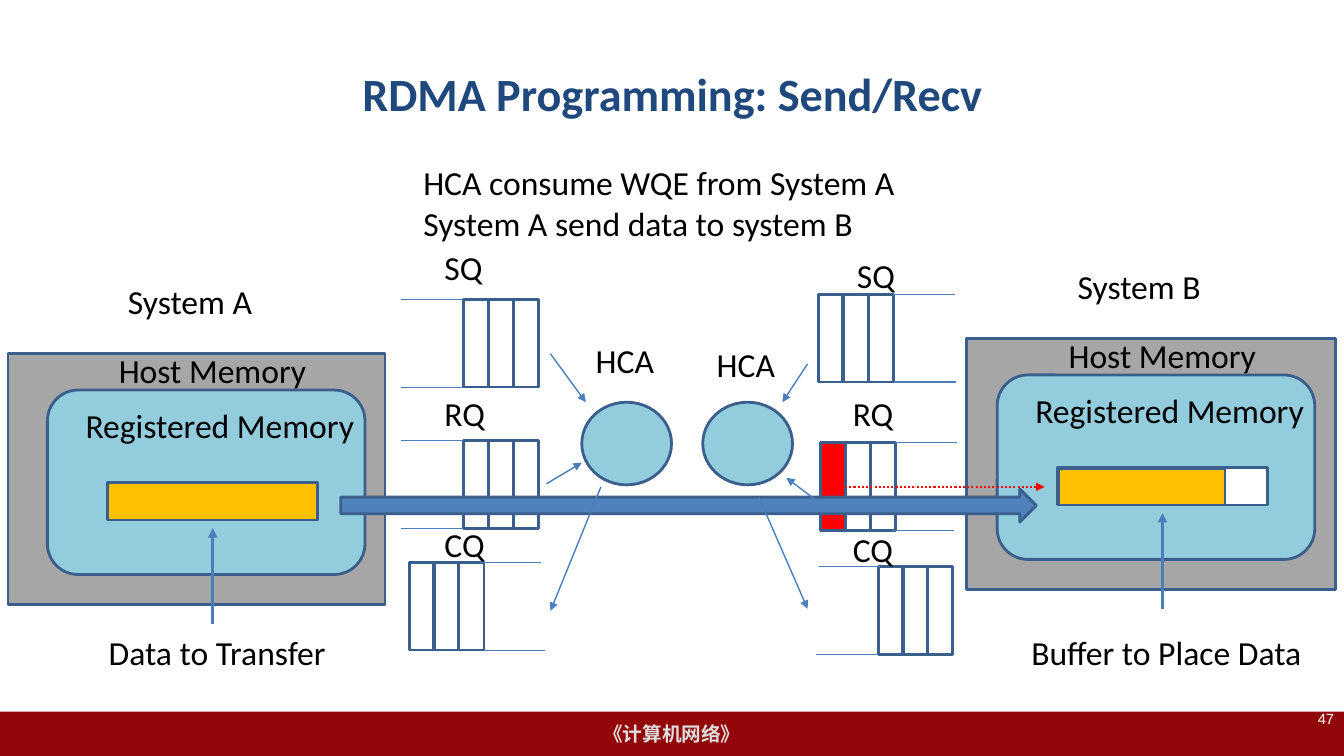
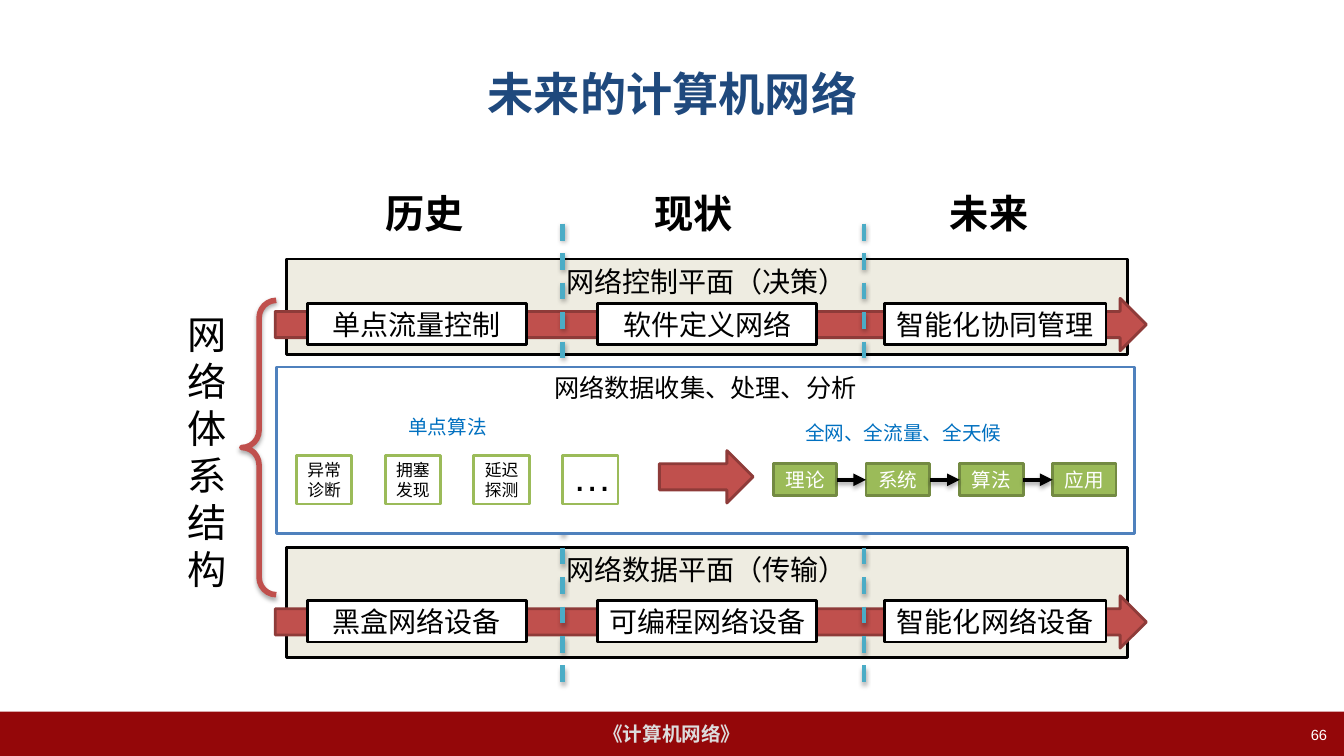
from lxml.etree import SubElement
from pptx import Presentation
from pptx.dml.color import RGBColor
from pptx.enum.dml import MSO_LINE
from pptx.enum.shapes import MSO_CONNECTOR, MSO_SHAPE
from pptx.enum.text import MSO_ANCHOR, MSO_AUTO_SIZE, PP_ALIGN
from pptx.oxml.ns import qn
from pptx.util import Emu, Pt

PX = 9144  # 100 px to the inch
WIDE, HIGH = 1333, 750
RECT, ARROW = MSO_SHAPE.RECTANGLE, MSO_SHAPE.RIGHT_ARROW
LEFT, MID, RIGHT = PP_ALIGN.LEFT, PP_ALIGN.CENTER, PP_ALIGN.RIGHT
TOP = MSO_ANCHOR.TOP
BLACK, WHITE, MAROON, NAVY = "000000", "FFFFFF", "940709", "1F497D"
EDGE, BLUE, SKY, GREY = "3A5F8C", "4B7EBC", "93CDDD", "A6A6A6"
GOLD, RED, BRICK, RUST = "FFC000", "FF0000", "C0504D", "8E3B39"
SAND, TEAL, GREEN, MOSS, AZURE = "EEECE1", "4BACC6", "9BBB59", "738A42", "0070C0"
hue = RGBColor.from_string


def box(page, kind, at, text="", size=20, tone=BLACK, fill=None, edge=None,
        thick=2, font="Arial", bold=False, side=MID, stand=MSO_ANCHOR.MIDDLE, snug=False):
    """Add a shape, or a text box when kind is None."""
    spot = [Emu(n * PX) for n in at]
    if kind is None:
        item = page.shapes.add_textbox(*spot)
    else:
        item = page.shapes.add_shape(kind, *spot)
        item.shadow.inherit = False
        if fill:
            item.fill.solid()
            item.fill.fore_color.rgb = hue(fill)
        else:
            item.fill.background()
        if edge:
            item.line.color.rgb = hue(edge)
            item.line.width = Pt(thick)
        else:
            item.line.fill.background()
    if text:
        frame = item.text_frame
        frame.word_wrap = not snug
        if snug:
            frame.auto_size = MSO_AUTO_SIZE.SHAPE_TO_FIT_TEXT
        frame.vertical_anchor = stand
        frame.text = text
        for para in frame.paragraphs:
            para.alignment = side
            para.font.size = Pt(size)
            para.font.name = font
            para.font.bold = bold
            para.font.color.rgb = hue(tone)
    return item


def line(page, ends, tone=BLUE, width=1, dash=None, head=False):
    """Add a straight line, with an arrowhead at its end if asked."""
    item = page.shapes.add_connector(MSO_CONNECTOR.STRAIGHT, *[Emu(n * PX) for n in ends])
    item.line.color.rgb = hue(tone)
    item.line.width = Pt(width)
    if dash:
        item.line.dash_style = dash
    if head:
        SubElement(item.line._get_or_add_ln(), qn("a:tailEnd"), type="triangle")
    SubElement(item._element.spPr, qn("a:effectLst"))
    return item


deck = Presentation()
deck.slide_width, deck.slide_height = Emu(WIDE * PX), Emu(HIGH * PX)

# Shared title, footer band and page number
pages = []
for title, font, number, spot in [
    ("RDMA Programming: Send/Recv", "Calibri", "47", (1033, 699, 300, 40)),
    ("未来的计算机网络", "Arial", "66", (1015, 715, 311, 35)),
]:
    page = deck.slides.add_slide(deck.slide_layouts[6])
    box(page, RECT, (0, 706, WIDE, 44), "《计算机网络》", 14, "DDDDDD", MAROON, bold=True)
    box(page, None, (67, 30, 1200, 125), title, 33, NAVY, font=font, bold=True)
    box(page, None, spot, number, 10.5, WHITE, side=RIGHT, stand=TOP)
    pages.append(page)
rdma, future = pages

# Slide 1: lead text
label = dict(size=24, font="Calibri", side=LEFT, stand=TOP)
box(rdma, None, (410, 156, 900, 90),
    "HCA consume WQE from System A\nSystem A send data to system B", **label)

# Hosts with registered memory and buffer
for name, note, x, y, pad, wide, fill, left, span in [
    ("System A", "Data to Transfer", 47, 387, 39, 374, GOLD, 98, 237),
    ("System B", "Buffer to Place Data", 989, 372, 30, 366, WHITE, 1013, 291),
]:
    box(rdma, RECT, (x - pad, y - 36, wide, 249), fill=GREY, edge=EDGE)
    box(rdma, MSO_SHAPE.ROUNDED_RECTANGLE, (x, y, 315, 183), fill=SKY, edge=EDGE)
    for text, at in [
        (name, (x + 70, y - 113, 144, 50)),
        ("Host Memory", (x + 61, y - 45, 208, 50)),
        ("Registered Memory", (x + 28, y + 10, 297, 50)),
        (note, (left, 622, span, 50)),
    ]:
        box(rdma, None, at, text, snug=True, **label)
    box(rdma, RECT, (x + 60, y + 92, 208, 37), fill=fill, edge=EDGE)
    line(rdma, (x + 164, y + 232, x + 164, y + 137), width=2.25, head=True)

# Adapters
for x, y in [(577, 332), (697, 336)]:
    box(rdma, MSO_SHAPE.OVAL, (x, 399, 89, 82), fill=SKY, edge=EDGE)
    box(rdma, None, (x + 4, y, 79, 50), "HCA", snug=True, **label)

# Queues: label place, first cell, left ends of the two rails
for name, left, top, x, y, high, low, first in [
    ("SQ", 431, 240, 460, 297, 398, 398, None),
    ("RQ", 431, 385, 460, 437, 398, 398, None),
    ("CQ", 431, 515, 406, 558, 476, 480, None),
    ("SQ", 840, 248, 812, 292, 886, 887, None),
    ("RQ", 836, 385, 814, 439, 888, 885, RED),
    ("CQ", 836, 520, 871, 562, 812, 809, None),
]:
    for i in range(3):
        box(rdma, RECT, (x + round(24.5 * i), y, 25, 87), fill=None if i else first, edge=EDGE)
    line(rdma, (high, y, high + 61, y), width=0.75)
    line(rdma, (low, y + 87, low + 61, y + 87), width=0.75)
    box(rdma, None, (left, top, 60, 50), name, snug=True, **label)

# Data path
line(rdma, (834, 483, 1036, 483), RED, 1.5, MSO_LINE.ROUND_DOT, True)
box(rdma, ARROW, (338, 485, 690, 33), fill="4F81BD", edge=EDGE)
box(rdma, RECT, (1050, 465, 165, 36), fill=GOLD, edge=EDGE)
for ends in [
    (546, 351, 581, 399), (542, 480, 577, 459), (596, 483, 546, 606),
    (801, 361, 776, 399), (753, 494, 801, 604), (809, 496, 780, 474),
]:
    line(rdma, ends, head=True)

# Slide 2: planes, each with an arrow through three stages
for name, y, high, drop, stages in [
    ("网络数据平面（传输）", 543, 109, 48, ("黑盒网络设备", "可编程网络设备", "智能化网络设备")),
    ("网络控制平面（决策）", 257, 95, 39, ("单点流量控制", "软件定义网络", "智能化协同管理")),
]:
    box(future, RECT, (284, y, 834, high), name, fill=SAND, edge=BLACK, stand=TOP)
    box(future, ARROW, (273, y + drop, 864, 52), fill=BRICK, edge=RUST)
    for text, x, wide in zip(stages, (305, 593, 877), (217, 217, 220)):
        box(future, RECT, (x, y + drop + 5, wide, 41), text, fill=WHITE, edge=BLACK)

# Eras and side heading
for text, x in [("历史", 284), ("现状", 551), ("未来", 844)]:
    box(future, None, (x, 183, 274, 57), text, 28, bold=True, stand=TOP)
box(future, None, (176, 303, 77, 293), "网络\n体系\n结构", 28, side=LEFT, stand=TOP)

# Brace and era dividers
brace = box(future, MSO_SHAPE.LEFT_BRACE, (240, 298, 34, 292), edge=BRICK, thick=4)
brace.adjustments[0] = 0.51
shaded = [brace]
for x in (857, 558):
    shaded.append(line(future, (x, 222, x, 687), TEAL, 3, MSO_LINE.DASH))

# Analysis panel
box(future, RECT, (274, 364, 851, 165), "网络数据收集、处理、分析", 18,
    fill=WHITE, edge="4F81BD", stand=TOP)
for text, at in [("单点算法", (338, 407, 212, 34)), ("全网、全流量、全天候", (710, 413, 372, 34))]:
    box(future, None, at, text, 14, AZURE, stand=TOP)
for i, text in enumerate(("异常诊断", "拥塞发现", "延迟探测")):
    box(future, RECT, (294 + 88 * i, 452, 55, 48), text, 12, fill=WHITE, edge=GREEN)
box(future, RECT, (558, 452, 55, 48), "…", 28, fill=WHITE, edge=GREEN, stand=MSO_ANCHOR.BOTTOM)
box(future, ARROW, (654, 447, 93, 52), fill=BRICK, edge=RUST)

# Chain from theory to use
steps = ("理论", "系统", "算法", "应用")
spots = [767 + round(92.4 * i) for i in range(len(steps))]
for text, x in zip(steps, spots):
    box(future, RECT, (x, 460, 63, 32), text, 14, WHITE, GREEN, MOSS)
for x, end in zip(spots, spots[1:]):
    shaded.append(line(future, (x + 63, 476, end, 476), BLACK, 3, head=True))

# Soft shadows
for item in shaded:
    cast = SubElement(item._element.spPr.find(qn("a:effectLst")), qn("a:outerShdw"),
                      blurRad="40000", dist="23000", dir="5400000", rotWithShape="0")
    ink = SubElement(cast, qn("a:srgbClr"), val=BLACK)
    SubElement(ink, qn("a:alpha"), val="35000")

deck.save("out.pptx")
